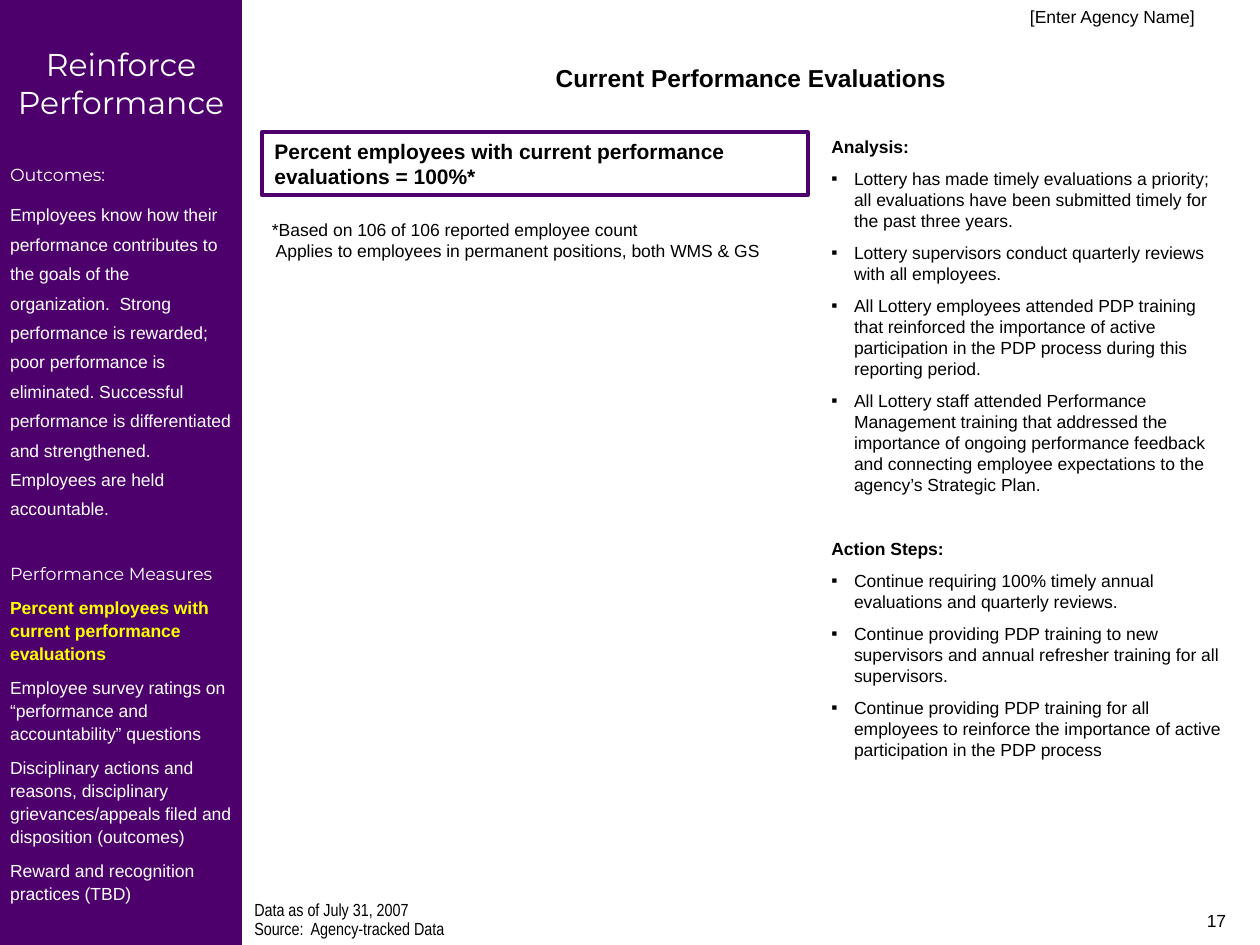
"""Build the performance evaluations slide."""
from dataclasses import dataclass
from lxml import etree
from pptx import Presentation
from pptx import util as u
from pptx.dml import color
from pptx.enum import shapes, text
from pptx.oxml import ns


@dataclass
class Style:
    size: float = 10
    face: str = "Arial"
    ink: str = "000000"
    bold: bool = False
    gap: float = 0
    lead: float = 1
    left: float = 0
    hang: float = 0
    mark: str = ""


PURPLE, WHITE, YELLOW = "4D006C", "FFFFFF", "FFFF00"
HEAD = "Montserrat"
GAP, BREAK = 6.2, 24.6
THEME = {
    "name": Style(size=18, face=HEAD, ink=WHITE),
    "label": Style(face=HEAD, ink=WHITE, gap=BREAK),
    "goal": Style(ink=WHITE, gap=GAP, lead=1.4),
    "now": Style(ink=YELLOW, bold=True, gap=GAP, lead=1.1),
    "item": Style(ink=WHITE, gap=GAP, lead=1.1),
    "foot": Style(face="Arial Narrow", gap=2.5, lead=0.7),
    "head": Style(bold=True, gap=BREAK),
    "point": Style(gap=GAP, left=0.18, hang=-0.18, mark="▪"),
    "key": Style(size=12, bold=True),
    "title": Style(size=14, bold=True),
    "plain": Style(),
    "inset": Style(left=0.03),
}

SIDE = [
    ("name", "Reinforce Performance"),
    ("label", "Outcomes:"),
    ("goal", "Employees know how their performance contributes to the goals of the "
             "organization.  Strong performance is rewarded; poor performance is "
             "eliminated. Successful performance is differentiated and strengthened. "
             "Employees are held accountable."),
    ("label", "Performance Measures"),
    ("now", "Percent employees with current performance evaluations"),
    ("item", "Employee survey ratings on “performance and accountability” questions"),
    ("item", "Disciplinary actions and reasons, disciplinary grievances/appeals filed "
             "and disposition (outcomes)"),
    ("item", "Reward and recognition practices (TBD)"),
]
NOTES = [
    ("head", "Analysis:"),
    ("point", "Lottery has made timely evaluations a priority; all evaluations have been "
              "submitted timely for the past three years."),
    ("point", "Lottery supervisors conduct quarterly reviews with all employees."),
    ("point", "All Lottery employees attended PDP training that reinforced the importance "
              "of active participation in the PDP process during this reporting period."),
    ("point", "All Lottery staff attended Performance Management training that addressed "
              "the importance of ongoing performance feedback and connecting employee "
              "expectations to the agency’s Strategic Plan."),
    ("head", "Action Steps:"),
    ("point", "Continue requiring 100% timely annual evaluations and quarterly reviews."),
    ("point", "Continue providing PDP training to new supervisors and annual refresher "
              "training for all supervisors."),
    ("point", "Continue providing PDP training for all employees to reinforce the "
              "importance of active participation in the PDP process"),
]
FOOT = [("foot", "Data as of July 31, 2007"), ("foot", "Source:  Agency-tracked Data")]
KEY = [("key", "Percent employees with current performance evaluations = 100%*")]
TITLE = [("title", "Current Performance Evaluations")]
BASIS = [
    ("plain", "*Based on 106 of 106 reported employee count"),
    ("inset", "Applies to employees in permanent positions, both WMS & GS"),
]
AGENCY = [("plain", "[Enter Agency Name]")]
PAGE = [("plain", "17")]

ALIGN = text.PP_ALIGN
TEXTS = [
    (FOOT, (1.92, 7.13, 4.83, 0.37), ALIGN.LEFT),
    (NOTES, (6.5, 1.03, 3.33, 6.07), ALIGN.LEFT),
    (TITLE, (2, 0.45, 7.92, 0.34), ALIGN.CENTER),
    (BASIS, (2.06, 1.69, 4.15, 0.44), ALIGN.LEFT),
    (AGENCY, (4.58, 0, 5, 0.25), ALIGN.RIGHT),
    (PAGE, (7.5, 7.17, 2.33, 0.33), ALIGN.RIGHT),
]


def rgb(code):
    """Turn a hex code into a colour."""
    return color.RGBColor.from_string(code)


def indent(para, style):
    """Set the indent and bullet of a paragraph."""
    props = para._p.get_or_add_pPr()
    props.set("marL", str(u.Inches(style.left)))
    props.set("indent", str(u.Inches(style.hang)))
    if style.mark:
        tint = etree.SubElement(props, ns.qn("a:buClr"))
        etree.SubElement(tint, ns.qn("a:srgbClr"), val=style.ink)
        etree.SubElement(props, ns.qn("a:buFont"), typeface=style.face)
        etree.SubElement(props, ns.qn("a:buChar"), char=style.mark)


def write(shape, lines, align, pad=(0.1, 0.05, 0.1, 0.05)):
    """Fill a shape with styled paragraphs."""
    frame = shape.text_frame
    frame.word_wrap = True
    frame.vertical_anchor = text.MSO_ANCHOR.TOP
    (frame.margin_left, frame.margin_top,
     frame.margin_right, frame.margin_bottom) = map(u.Inches, pad)
    frame.text = "\n".join(words for _, words in lines)
    for row, (para, (kind, _)) in enumerate(zip(frame.paragraphs, lines)):
        style = THEME[kind]
        indent(para, style)
        para.alignment = align
        para.line_spacing = style.lead
        para.space_before = u.Pt(style.gap if row else 0)
        font = para.runs[0].font
        font.size, font.name, font.bold = u.Pt(style.size), style.face, style.bold
        font.color.rgb = rgb(style.ink)


def block(slide, place):
    """Add a plain rectangle."""
    shape = slide.shapes.add_shape(shapes.MSO_SHAPE.RECTANGLE, *map(u.Inches, place))
    shape.shadow.inherit = False
    return shape


def main():
    """Build and save the slide."""
    deck = Presentation()
    deck.slide_width, deck.slide_height = u.Inches(10), u.Inches(7.5)
    slide = deck.slides.add_slide(deck.slide_layouts[6])

    side = block(slide, (0, 0, 1.92, 7.58))
    side.fill.solid()
    side.fill.fore_color.rgb = rgb(PURPLE)
    side.line.fill.background()
    write(side, SIDE, ALIGN.LEFT, (0.08, 0.36, 0.08, 0.04))
    side.text_frame.paragraphs[0].alignment = ALIGN.CENTER

    key = block(slide, (2.08, 1.05, 4.33, 0.5))
    key.fill.background()
    key.line.color.rgb = rgb(PURPLE)
    key.line.width = u.Pt(2.25)
    write(key, KEY, ALIGN.LEFT)

    for lines, place, align in TEXTS:
        write(slide.shapes.add_textbox(*map(u.Inches, place)), lines, align)
    deck.save("out.pptx")


if __name__ == "__main__":
    main()
